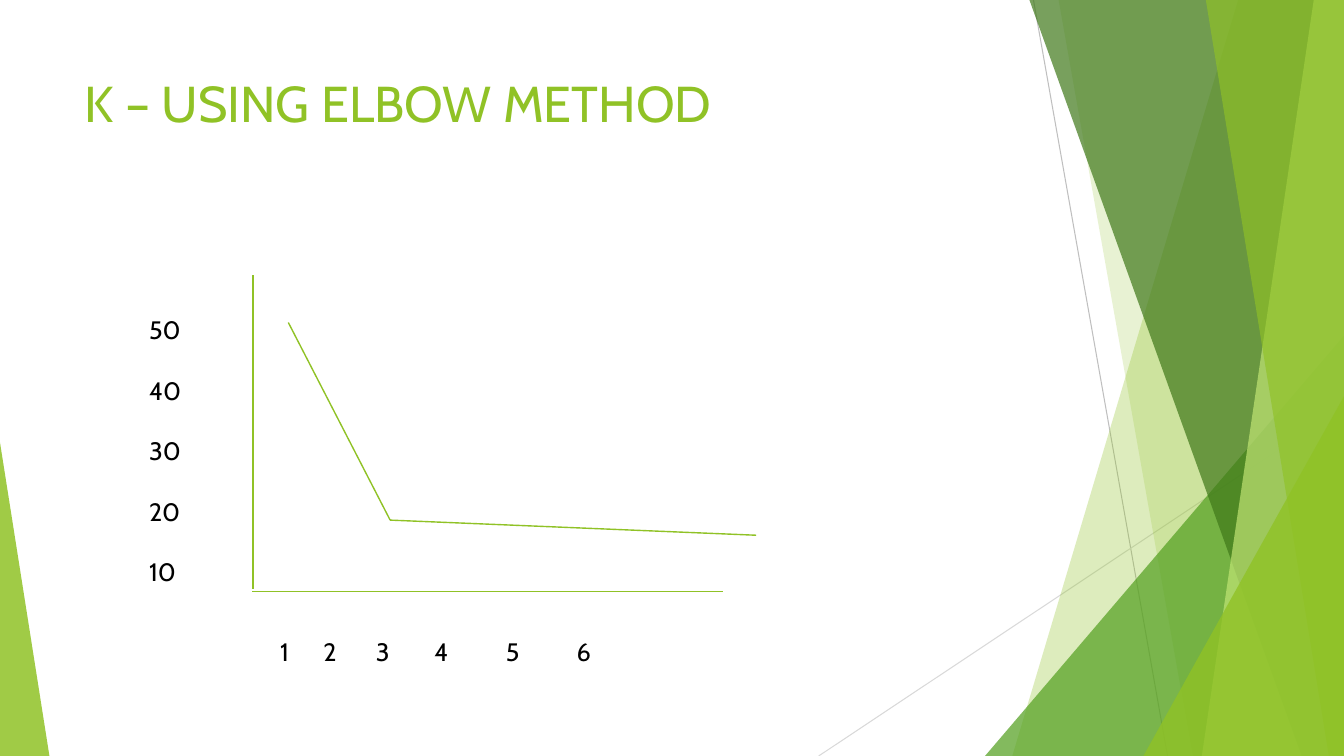
from dataclasses import dataclass

from lxml.etree import SubElement
from pptx import Presentation
from pptx.dml.color import RGBColor
from pptx.enum.shapes import MSO_CONNECTOR as Conn, MSO_SHAPE as Kind
from pptx.enum.text import MSO_ANCHOR as Anchor, MSO_AUTO_SIZE as Fit, PP_ALIGN as Align
from pptx.oxml.ns import qn
from pptx.util import Inches, Pt

WIDE, HIGH = 13.33, 7.5


@dataclass(frozen=True)
class Theme:
    font: str = "Cabin"
    lime: str = "90C226"
    green: str = "54A021"
    forest: str = "3F7819"
    pale: str = "C0E474"
    gray: str = "BFBFBF"
    light: str = "D9D9D9"
    ink: str = "000000"
    title: int = 36
    label: int = 18


@dataclass(frozen=True)
class Line:
    start: tuple[float, float]
    end: tuple[float, float]
    color: str
    width: float = 1


@dataclass(frozen=True)
class Band:
    """Panel running from a slanted left edge to the right side."""
    top: float
    foot: float
    color: str
    alpha: int


@dataclass(frozen=True)
class Wedge:
    """Triangle standing on the bottom edge; tip is 0 (left) or 1 (right)."""
    left: float
    top: float
    width: float
    tip: int
    color: str
    alpha: int


THEME = Theme()

RAYS = [
    Line((10.25, 0), (11.58, HIGH), THEME.gray, 0.75),
    Line((WIDE, 4.03), (8.12, HIGH), THEME.light, 0.75),
]
FACETS = [
    Band(12.28, 10.04, THEME.lime, 30),
    Band(10.5, 11.83, THEME.lime, 20),
    Wedge(9.77, 3.33, 3.56, 1, THEME.green, 72),
    Band(10.21, 12.91, THEME.forest, 70),
    Band(13.03, 11.92, THEME.pale, 70),
    Band(11.96, 13.18, THEME.lime, 65),
    Wedge(11.34, 3.93, 1.99, 1, THEME.lime, 80),
    Wedge(0, 4.39, 0.49, 0, THEME.lime, 85),
]
AXES = [
    Line((2.51, 2.73), (2.51, 5.84), THEME.lime),
    Line((2.5, 5.87), (7.17, 5.87), THEME.lime),
]
CURVE = [
    Line((2.86, 3.2), (3.87, 5.16), THEME.lime),
    Line((3.87, 5.16), (7.5, 5.31), THEME.lime),
]
COUNTS = ["1", "2", "3", "4", "5", "6"]
STOPS = [0.43, 0.95, 1.53, 2.24, 2.94]
COSTS = ["50", "40", "30", "20", "10"]


def draw_line(slide, line: Line) -> None:
    ends = [Inches(n) for n in (*line.start, *line.end)]
    shape = slide.shapes.add_connector(Conn.STRAIGHT, *ends)
    shape.line.color.rgb = RGBColor.from_string(line.color)
    shape.line.width = Pt(line.width)
    SubElement(shape.element.spPr, qn("a:effectLst"))


def paint(shape, color: str, alpha: int) -> None:
    shape.shadow.inherit = False
    shape.line.fill.background()
    shape.fill.solid()
    shape.fill.fore_color.rgb = RGBColor.from_string(color)
    tint = shape.element.spPr.find(".//" + qn("a:srgbClr"))
    SubElement(tint, qn("a:alpha"), val=str(alpha * 1000))


def draw_facet(slide, facet: Band | Wedge) -> None:
    if isinstance(facet, Band):
        pen = slide.shapes.build_freeform(Inches(facet.top), 0)
        edge = [(WIDE, 0), (WIDE, HIGH), (facet.foot, HIGH)]
        pen.add_line_segments([(Inches(x), Inches(y)) for x, y in edge])
        shape = pen.convert_to_shape()
    else:
        shape = slide.shapes.add_shape(
            Kind.ISOSCELES_TRIANGLE, Inches(facet.left), Inches(facet.top),
            Inches(facet.width), Inches(HIGH - facet.top))
        shape.adjustments[0] = facet.tip
    paint(shape, facet.color, facet.alpha)


def add_run(para, text: str, size: int, color: str) -> None:
    run = para.add_run()
    run.text = text
    run.font.name = THEME.font
    run.font.size = Pt(size)
    run.font.color.rgb = RGBColor.from_string(color)


def add_box(slide, left: float, top: float, width: float, height: float):
    box = slide.shapes.add_textbox(*map(Inches, (left, top, width, height)))
    box.text_frame.word_wrap = True
    box.text_frame.auto_size = Fit.SHAPE_TO_FIT_TEXT
    return box.text_frame


def set_title(slide, text: str) -> None:
    title = slide.shapes.title
    title.left, title.top = Inches(0.74), Inches(0.67)
    title.width, title.height = Inches(9.4), Inches(1.44)
    frame = title.text_frame
    frame.vertical_anchor = Anchor.TOP
    para = frame.paragraphs[0]
    para.alignment = Align.LEFT
    add_run(para, text, THEME.title, THEME.lime)
    # Bring the title in front of the facets
    title.element.getparent().append(title.element)


def add_counts(slide) -> None:
    para = add_box(slide, 2.68, 6.26, 4.98, 0.4).paragraphs[0]
    tabs = SubElement(para._p.get_or_add_pPr(), qn("a:tabLst"))
    for stop in STOPS:
        SubElement(tabs, qn("a:tab"), pos=str(Inches(stop)), algn="l")
    add_run(para, "\t".join(COUNTS), THEME.label, THEME.ink)


def add_costs(slide) -> None:
    frame = add_box(slide, 1.38, 3.07, 0.69, 3.43)
    for i, cost in enumerate(COSTS):
        para = frame.add_paragraph() if i else frame.paragraphs[0]
        if i:
            para.space_before = Pt(21.6)
        add_run(para, cost, THEME.label, THEME.ink)


def main() -> None:
    deck = Presentation()
    deck.slide_width, deck.slide_height = Inches(WIDE), Inches(HIGH)
    slide = deck.slides.add_slide(deck.slide_layouts[5])

    # Background
    for ray in RAYS:
        draw_line(slide, ray)
    for facet in FACETS:
        draw_facet(slide, facet)

    # Title
    set_title(slide, "K – USING ELBOW METHOD")

    # Elbow plot
    for line in AXES:
        draw_line(slide, line)
    add_counts(slide)
    for line in CURVE:
        draw_line(slide, line)
    add_costs(slide)

    deck.save("out.pptx")


if __name__ == "__main__":
    main()
